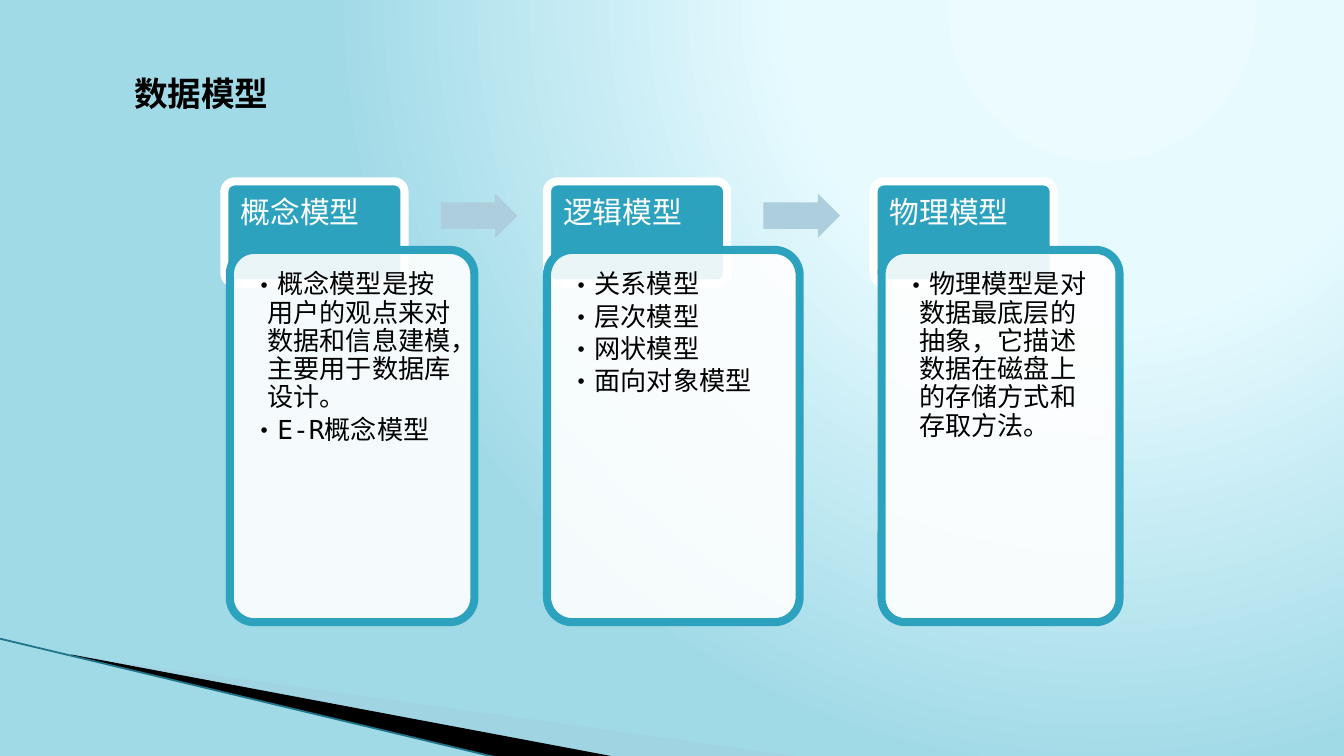
import pptx
import pptx.util
import pptx.dml.color
import pptx.enum.shapes
import pptx.oxml.ns
from lxml import etree

WIDE = 10
HIGH = WIDE * 9 / 16
MONO, SANS = "DejaVu Sans Mono", "Noto Sans CJK SC"
TEAL, PALE, WHITE, BLACK = "2DA2BF", "ADCEDC", "FFFFFF", "000000"
TITLE = "数据模型"
# head, head left, card left, card width, points
CARDS = [
    ("概念模型", 1.67, 1.71, 1.82,
     ["概念模型是按用户的观点来对数据和信息建模，主要用于数据库设计。", "E-R概念模型"]),
    ("逻辑模型", 4.07, 4.07, 1.88,
     ["关系模型", "层次模型", "网状模型", "面向对象模型"]),
    ("物理模型", 6.5, 6.56, 1.77,
     ["物理模型是对数据最底层的抽象，它描述数据在磁盘上的存储方式和存取方法。"]),
]
GLOW = [(0, "EBFBFF"), (40, "E7FBFF"), (100, "A1DAE7")]
WEDGES = [
    ([(0.55, 4.88), (5.95, 5.63), (4.56, 5.63)], "A0CBDC", 40),
    ([(0.53, 4.87), (4.57, 5.63), (3.72, 5.64), (0.54, 4.88)], BLACK, 100),
]
TOP, HEAD_W, HEAD_H, LABEL_H = 1.35, 1.34, 0.76, 0.51
CARD_Y, CARD_H, PAD = 1.86, 2.77, 0.05
ARROW_Y, ARROW_W, ARROW_H, ARROW_GAP = 1.44, 0.57, 0.33, 0.27
EDGE = 4.33

inch, pt = pptx.util.Inches, pptx.util.Pt
qn = pptx.oxml.ns.qn
KIND = pptx.enum.shapes.MSO_SHAPE


def rgb(code):
    """Turn a hex string into a colour."""
    return pptx.dml.color.RGBColor.from_string(code)


def sub(node, tag, **attrs):
    """Add an XML child with attributes."""
    return etree.SubElement(node, qn(tag), {k: str(v) for k, v in attrs.items()})


def paint(shape, fill, alpha=100, line=None):
    """Set fill, opacity and outline, without a shadow."""
    shape.shadow.inherit = False
    shape.fill.solid()
    shape.fill.fore_color.rgb = rgb(fill)
    if alpha < 100:
        tint = shape.fill._xPr.find(".//" + qn("a:srgbClr"))
        sub(tint, "a:alpha", val=alpha * 1000)
    if line:
        shape.line.color.rgb = rgb(line)
        shape.line.width = pt(EDGE)
    else:
        shape.line.fill.background()


def block(kind, box, adj, *look):
    """Draw a preset shape."""
    shape = slide.shapes.add_shape(kind, *map(inch, box))
    for i, part in enumerate(adj):
        shape.adjustments[i] = part
    paint(shape, *look)


def write(box, lines, size, color, font=MONO, ins=None, after=0, dots=False,
          bold=False):
    """Place a text box with one run per paragraph."""
    frame = slide.shapes.add_textbox(*map(inch, box)).text_frame
    frame.word_wrap = True
    if ins:
        (frame.margin_left, frame.margin_top,
         frame.margin_right, frame.margin_bottom) = map(inch, ins)
    for i, line in enumerate(lines):
        para = frame.paragraphs[0] if i == 0 else frame.add_paragraph()
        props = para._p.get_or_add_pPr()
        if after:
            para.line_spacing = 0.9
            sub(sub(props, "a:spcAft"), "a:spcPct", val=after * 1000)
        if dots:
            para.level = 1
            props.set("marL", str(inch(0.12)))
            props.set("indent", str(inch(-0.12)))
            sub(props, "a:buFont", typeface=SANS)
            sub(props, "a:buChar", char="•")
        run = para.add_run()
        run.text = line
        run.font.size, run.font.bold, run.font.name = pt(size), bold, font
        run.font.color.rgb = rgb(color)
        sub(run.font._element, "a:ea", typeface=SANS)


def glow():
    """Fill the background with a round gradient."""
    slide.background.fill.gradient()
    grad = slide.element.find(".//" + qn("a:gradFill"))
    for child in list(grad):
        grad.remove(child)
    stops = sub(grad, "a:gsLst")
    for pos, code in GLOW:
        sub(sub(stops, "a:gs", pos=pos * 1000), "a:srgbClr", val=code)
    ring = etree.SubElement(grad, qn("a:path"), {"path": "circle"})
    sub(ring, "a:fillToRect", l=65000, t=0, r=0, b=98000)


def swoosh():
    """Draw the wedges and the thin line at the lower left."""
    for dots, fill, alpha in WEDGES:
        spots = [(inch(x), inch(y)) for x, y in dots]
        pen = slide.shapes.build_freeform(*spots[0])
        pen.add_line_segments(spots[1:], close=True)
        paint(pen.convert_to_shape(), fill, alpha)
    line = slide.shapes.add_connector(
        pptx.enum.shapes.MSO_CONNECTOR.STRAIGHT,
        *map(inch, (-0.01, 4.75, 3.71, 5.64)))
    line.line.color.rgb = rgb("1F7489")
    line.line.width = pt(0.95)
    sub(line._element.spPr, "a:effectLst")


def card(head, left, x, wide, points):
    """Draw one model: its head and its card of points."""
    block(KIND.ROUNDED_RECTANGLE, (left, TOP, HEAD_W, HEAD_H), [0.1],
          TEAL, 100, WHITE)
    write((left, TOP, HEAD_W, LABEL_H), [head], 16, WHITE,
          ins=(0.12, 0.12, 0.12, 0.07), after=35)
    block(KIND.ROUNDED_RECTANGLE, (x, CARD_Y, wide, CARD_H), [0.1],
          WHITE, 90, TEAL)
    write((x + PAD, CARD_Y + PAD, wide - 2 * PAD, CARD_H - 2 * PAD), points,
          14, BLACK, ins=[0.11] * 4, after=15, dots=True)


deck = pptx.Presentation()
deck.slide_width, deck.slide_height = inch(WIDE), inch(HIGH)
slide = deck.slides.add_slide(deck.slide_layouts[6])
glow()
swoosh()
for i, item in enumerate(CARDS):
    card(*item)
    if i < len(CARDS) - 1:
        block(KIND.RIGHT_ARROW,
              (item[1] + HEAD_W + ARROW_GAP, ARROW_Y, ARROW_W, ARROW_H),
              [0.6, 0.5], PALE)
write((0.9, 0.49, 1.74, 0.4), [TITLE], 18, BLACK, font=SANS, bold=True)
deck.save("out.pptx")
